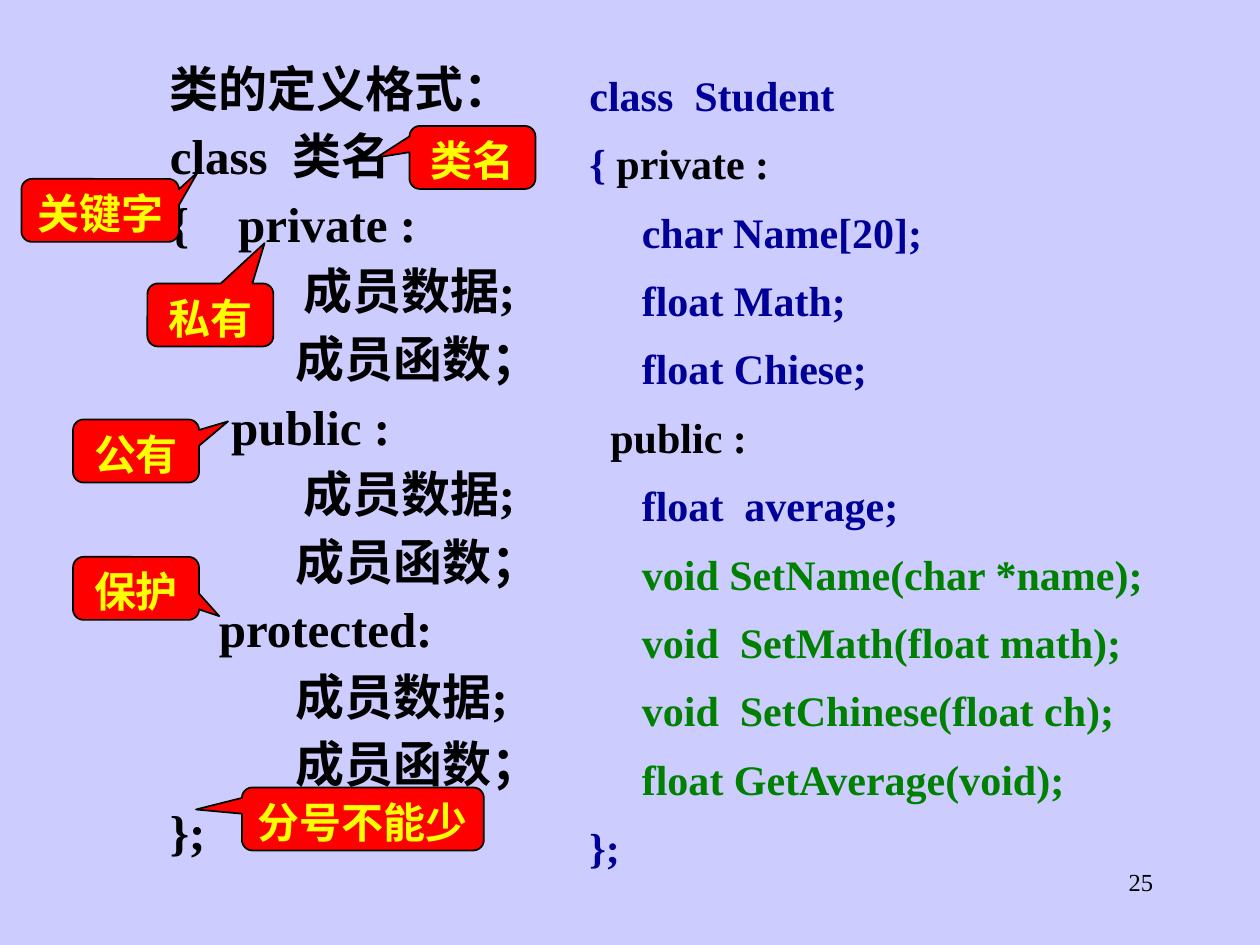
import pptx
import pptx.dml.color
import pptx.enum.shapes
import pptx.enum.text
import pptx.oxml.ns
import pptx.util
from lxml import etree
from pptx.util import Inches

RGBColor = pptx.dml.color.RGBColor
LAVENDER = RGBColor(0xCC, 0xCC, 0xFF)
BLACK = RGBColor(0x00, 0x00, 0x00)
NAVY = RGBColor(0x00, 0x00, 0x99)
GREEN = RGBColor(0x00, 0x80, 0x00)
RED = RGBColor(0xFF, 0x00, 0x00)
YELLOW = RGBColor(0xFF, 0xFF, 0x00)
FONT = "Times New Roman"
ALIGN = pptx.enum.text.PP_ALIGN

class_format = [
    [(line, BLACK)]
    for line in (
        "类的定义格式：",
        "class  类名",
        "{    private :",
        "            成员数据;",
        "\t成员函数；",
        "     public :",
        "            成员数据;",
        "\t成员函数；",
        "    protected:",
        "\t成员数据;",
        "\t成员函数；",
        "};",
    )
]

student_class = [
    [("class  Student", NAVY)],
    [("{ ", NAVY), ("private :", BLACK)],
    [("     char Name[20];", NAVY)],
    [("     float Math;", NAVY)],
    [("     float Chiese;", NAVY)],
    [("  ", NAVY), ("public :", BLACK)],
    [("     float  average;", NAVY)],
    [("     void SetName(char *name);", GREEN)],
    [("     void  SetMath(float math);", GREEN)],
    [("     void  SetChinese(float ch);", GREEN)],
    [("     float GetAverage(void);", GREEN)],
    [("};", NAVY)],
]

callouts = [
    ("关键字", 0.17, 1.42, 1.25, (0.62, -0.61)),
    ("类名", 3.25, 1, 1, (-0.76, 0)),
    ("私有", 1.17, 2.25, 1, (0.43, -1.14)),
    ("公有", 0.58, 3.33, 1, (0.73, -0.47)),
    ("保护", 0.58, 4.42, 1, (0.66, 0.44)),
    ("分号不能少", 1.92, 6.25, 1.92, (-0.69, -0.15)),
]


def add_tab_stop(paragraph, position):
    properties = paragraph._p.get_or_add_pPr()
    stops = etree.SubElement(properties, pptx.oxml.ns.qn("a:tabLst"))
    etree.SubElement(stops, pptx.oxml.ns.qn("a:tab"), pos=str(position), algn="l")


def add_run(paragraph, text, size, color, bold=True):
    run = paragraph.add_run()
    run.text = text
    run.font.name = FONT
    run.font.size = pptx.util.Pt(size)
    run.font.bold = bold
    run.font.color.rgb = color


def add_code(slide, lines, box, size, gap, line_spacing):
    frame = slide.shapes.add_textbox(*map(Inches, box)).text_frame
    frame.word_wrap = True
    frame.auto_size = pptx.enum.text.MSO_AUTO_SIZE.SHAPE_TO_FIT_TEXT
    for index, pieces in enumerate(lines):
        paragraph = frame.add_paragraph() if index else frame.paragraphs[0]
        add_tab_stop(paragraph, Inches(1))
        paragraph.line_spacing = line_spacing
        if index:
            paragraph.space_before = pptx.util.Pt(gap)
        for text, color in pieces:
            add_run(paragraph, text, size, color)


def add_callout(slide, label, left, top, width, tip):
    callout = slide.shapes.add_shape(
        pptx.enum.shapes.MSO_SHAPE.ROUNDED_RECTANGULAR_CALLOUT,
        Inches(left), Inches(top), Inches(width), Inches(0.5),
    )
    callout.adjustments[0], callout.adjustments[1] = tip
    callout.shadow.inherit = False
    callout.fill.solid()
    callout.fill.fore_color.rgb = RED
    callout.line.color.rgb = BLACK
    callout.line.width = pptx.util.Pt(1)
    frame = callout.text_frame
    frame.margin_left = frame.margin_right = Inches(0.02)
    frame.margin_top = frame.margin_bottom = Inches(0.01)
    frame.vertical_anchor = pptx.enum.text.MSO_ANCHOR.MIDDLE
    paragraph = frame.paragraphs[0]
    paragraph.alignment = ALIGN.CENTER
    paragraph.line_spacing = 1.1
    add_run(paragraph, label, 24, YELLOW)


def main():
    deck = pptx.Presentation()
    deck.slide_width, deck.slide_height = Inches(10), Inches(7.5)
    slide = deck.slides.add_slide(deck.slide_layouts[6])
    slide.background.fill.solid()
    slide.background.fill.fore_color.rgb = LAVENDER

    page_box = map(Inches, (7.17, 6.83, 2.08, 0.5))
    page_frame = slide.shapes.add_textbox(*page_box).text_frame
    page_frame.word_wrap = True
    page_number = page_frame.paragraphs[0]
    page_number.alignment = ALIGN.RIGHT
    add_run(page_number, "25", 14, BLACK, bold=False)

    add_code(slide, class_format, (1.25, 0.58, 3.75, 6.14), 28, 18.4, 0.6)
    add_code(slide, student_class, (4.58, 0.5, 5.17, 6.28), 24, 10.3, 1.0)
    for callout in callouts:
        add_callout(slide, *callout)

    deck.save("out.pptx")


if __name__ == "__main__":
    main()
